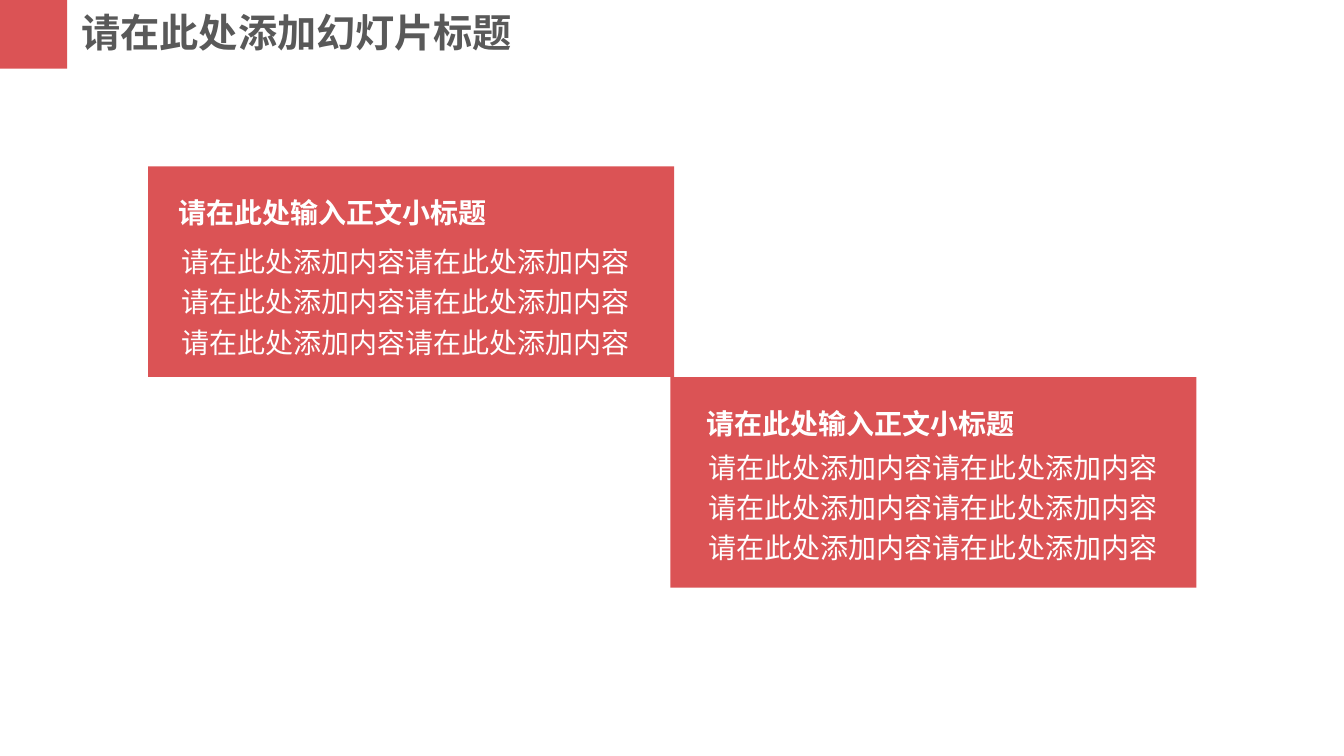
from lxml import etree
from pptx import Presentation
from pptx.dml.color import RGBColor
from pptx.enum.shapes import MSO_SHAPE
from pptx.enum.text import MSO_ANCHOR, MSO_AUTO_SIZE, PP_ALIGN
from pptx.oxml.ns import qn
from pptx.util import Pt

RECT = MSO_SHAPE.RECTANGLE
TOP = MSO_ANCHOR.TOP
LEFT = PP_ALIGN.LEFT
FIXED = MSO_AUTO_SIZE.NONE
GROW = MSO_AUTO_SIZE.SHAPE_TO_FIT_TEXT

RED = RGBColor(0xDB, 0x53, 0x55)
GRAY = RGBColor(0x59, 0x59, 0x59)
WHITE = RGBColor(0xFF, 0xFF, 0xFF)
FONT = "Noto Sans CJK SC"

PHRASE = "请在此处添加内容"
BODY = [PHRASE * 4, PHRASE * 2]
HEADING = ["请在此处输入正文小标题"]


def write(tf, lines, size, color, bold, spacing):
    tf.text = "\n".join(lines)
    tf.word_wrap = True
    tf.vertical_anchor = TOP
    for p in tf.paragraphs:
        p.alignment = LEFT
        p.line_spacing = spacing
        for r in p.runs:
            r.font.size = Pt(size)
            r.font.bold = bold
            r.font.color.rgb = color
            r.font.name = FONT
            ea = etree.SubElement(r._r.get_or_add_rPr(), qn("a:ea"))
            ea.set("typeface", FONT)


def add_block(s, x, y, w, h):
    sp = s.shapes.add_shape(RECT, Pt(x), Pt(y), Pt(w), Pt(h))
    sp.shadow.inherit = False
    sp.fill.solid()
    sp.fill.fore_color.rgb = RED
    sp.line.fill.background()


def add_text(s, x, y, w, h, lines, bold):
    tf = s.shapes.add_textbox(Pt(x), Pt(y), Pt(w), Pt(h)).text_frame
    write(tf, lines, 20, WHITE, bold, 1.2)
    tf.auto_size = GROW


def add_header(s, x, y, w, h):
    add_block(s, x, y, 48, h)
    title = s.shapes.title
    title.left, title.top = Pt(x + 51), Pt(y + 2)
    title.width, title.height = Pt(w - 51), Pt(41)
    write(title.text_frame, ["请在此处添加幻灯片标题"], 28, GRAY, True, 1.0)
    title.text_frame.auto_size = FIXED


def add_card(s, x, y, w, h, heading_at, body_at):
    add_block(s, x, y, w, h)
    text_w = w - 32.5
    for (dx, dy), text_h, lines, bold in (
        (body_at, 94.3, BODY, False),
        (heading_at, 33.8, HEADING, True),
    ):
        add_text(s, x + dx, y + dy, text_w, text_h, lines, bold)


prs = Presentation()
prs.slide_width, prs.slide_height = Pt(960), Pt(540)
s = prs.slides.add_slide(prs.slide_layouts[5])
add_header(s, 0, 0, 404, 49)
add_card(s, 105.8, 118.8, 375.8, 150.5, (14.4, 12.2), (16.6, 47.5))
add_card(s, 478.8, 269.3, 375.8, 150.5, (18.7, 13), (20.2, 43.9))
prs.save("out.pptx")
